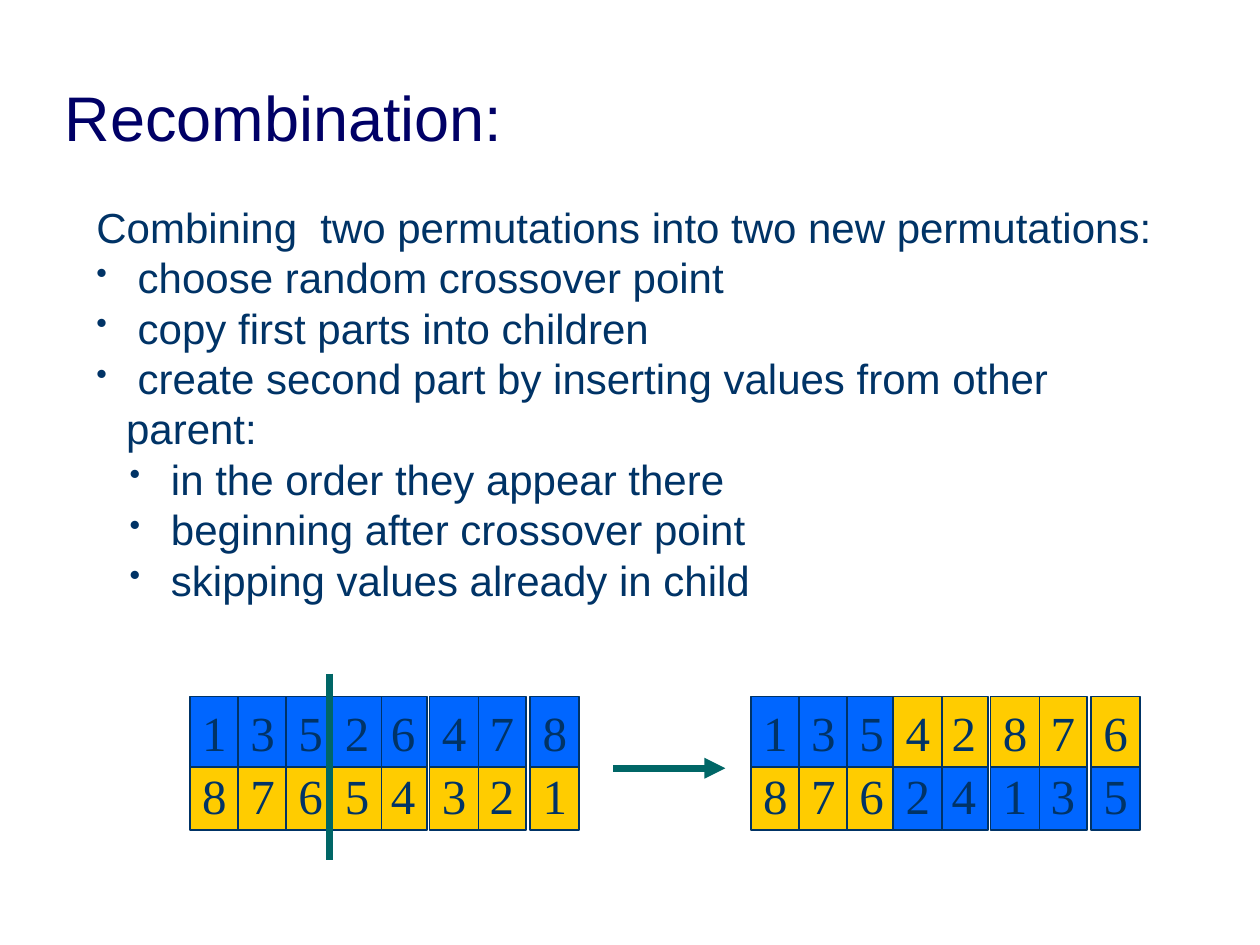
from lxml import etree
from pptx import Presentation
from pptx import util as u
from pptx.dml import color
from pptx.enum import shapes, text
from pptx.oxml import ns

Pt = u.Pt
NAVY, INK, TEAL = "000066", "003366", "006666"
BLUE, GOLD = "0066FF", "FFCC00"
COLUMN_LEFTS = (0, 27.5, 55, 81.5, 107.75, 137, 164.25, 194.5)
STACKING = (0, 1, 2, 4, 3, 7, 6, 5)
CROSSOVER = 3
BODY_LINES = (
    (None, "Combining  two permutations into two new permutations:"),
    (0, " choose random crossover point"),
    (0, " copy first parts into children"),
    (0, " create second part by inserting values from other parent:"),
    (1, " in the order they appear there"),
    (1, " beginning after crossover point"),
    (1, " skipping values already in child"),
)


def rgb(value):
    """Return the colour for a hex string."""
    return color.RGBColor.from_string(value)


def add_span(para, words, font, size, tint):
    """Add one formatted run to a paragraph."""
    span = para.add_run()
    span.text = words
    span.font.name = font
    span.font.size = Pt(size)
    span.font.color.rgb = rgb(tint)


def set_bullet(para, level):
    """Give a paragraph a hanging bullet for its level."""
    para.level = level
    props = para._p.get_or_add_pPr()
    props.set("marL", str(Pt(17 + 19 * level)))
    props.set("indent", str(Pt(-17)))
    tint = etree.SubElement(props, ns.qn("a:buClr"))
    etree.SubElement(tint, ns.qn("a:srgbClr"), val=INK)
    etree.SubElement(props, ns.qn("a:buSzPct"), val="75000")
    etree.SubElement(props, ns.qn("a:buChar"), char="•")


def add_text_box(page, left, top, width, height):
    """Add a wrapping text box and return its frame."""
    box = page.shapes.add_textbox(Pt(left), Pt(top), Pt(width), Pt(height))
    frame = box.text_frame
    frame.word_wrap = True
    frame.auto_size = text.MSO_AUTO_SIZE.SHAPE_TO_FIT_TEXT
    return frame


def add_title(page, left, top, width, height):
    """Add the slide title."""
    para = add_text_box(page, left, top, width, height).paragraphs[0]
    para.line_spacing = 1.5
    add_span(para, "Recombination:", "Arial", 36, NAVY)


def add_body(page, left, top, width, height):
    """Add the introduction and the two-level bullet list."""
    frame = add_text_box(page, left, top, width, height)
    for index, (level, words) in enumerate(BODY_LINES):
        para = frame.add_paragraph() if index else frame.paragraphs[0]
        if level is not None:
            set_bullet(para, level)
        add_span(para, words, "Arial", 24, INK)


def add_cell(page, left, top, digit, fill):
    """Add one square of a permutation."""
    box = page.shapes.add_shape(shapes.MSO_SHAPE.RECTANGLE, Pt(left), Pt(top), Pt(28), Pt(40.5))
    box.shadow.inherit = False
    box.fill.solid()
    box.fill.fore_color.rgb = rgb(fill)
    box.line.color.rgb = rgb(INK)
    box.line.width = Pt(1)
    frame = box.text_frame
    frame.word_wrap = False
    frame.auto_size = text.MSO_AUTO_SIZE.SHAPE_TO_FIT_TEXT
    frame.vertical_anchor = text.MSO_ANCHOR.TOP
    para = frame.paragraphs[0]
    para.alignment = text.PP_ALIGN.CENTER
    add_span(para, digit, "Times New Roman", 28, INK)


def add_pair(page, left, top, upper, lower, swapped):
    """Add two stacked permutations, changing colours after the crossover if swapped."""
    rows = ((lower, top + 36, (GOLD, BLUE)), (upper, top, (BLUE, GOLD)))
    for digits, row_top, fills in rows:
        for column in STACKING:
            fill = fills[swapped and column >= CROSSOVER]
            add_cell(page, left + COLUMN_LEFTS[column], row_top, digits[column], fill)


def add_line(page, start, end, arrow=False):
    """Add a thick straight line, with an arrowhead at its end if asked."""
    points = [Pt(value) for value in (*start, *end)]
    line = page.shapes.add_connector(shapes.MSO_CONNECTOR.STRAIGHT, *points)
    line.line.color.rgb = rgb(TEAL)
    line.line.width = Pt(4)
    if arrow:
        etree.SubElement(line.line._get_or_add_ln(), ns.qn("a:tailEnd"), type="triangle")
    etree.SubElement(line._element.spPr, ns.qn("a:effectLst"))


def add_crossover(page, left, top):
    """Add the parents, the crossover line, the arrow and the children."""
    add_line(page, (left + 242, top + 41), (left + 306, top + 41), arrow=True)
    add_pair(page, left + 320.5, top, "13542876", "87624135", True)
    add_pair(page, left, top, "13526478", "87654321", False)
    add_line(page, (left + 80, top - 13), (left + 80, top + 93.5))


def main():
    """Build and save the slide."""
    deck = Presentation()
    deck.slide_width, deck.slide_height = Pt(720), Pt(540)
    page = deck.slides.add_slide(deck.slide_layouts[6])
    add_title(page, 30, 19.5, 654, 72)
    add_body(page, 48, 111.5, 631.5, 209)
    add_crossover(page, 108.5, 398)
    deck.save("out.pptx")


if __name__ == "__main__":
    main()
